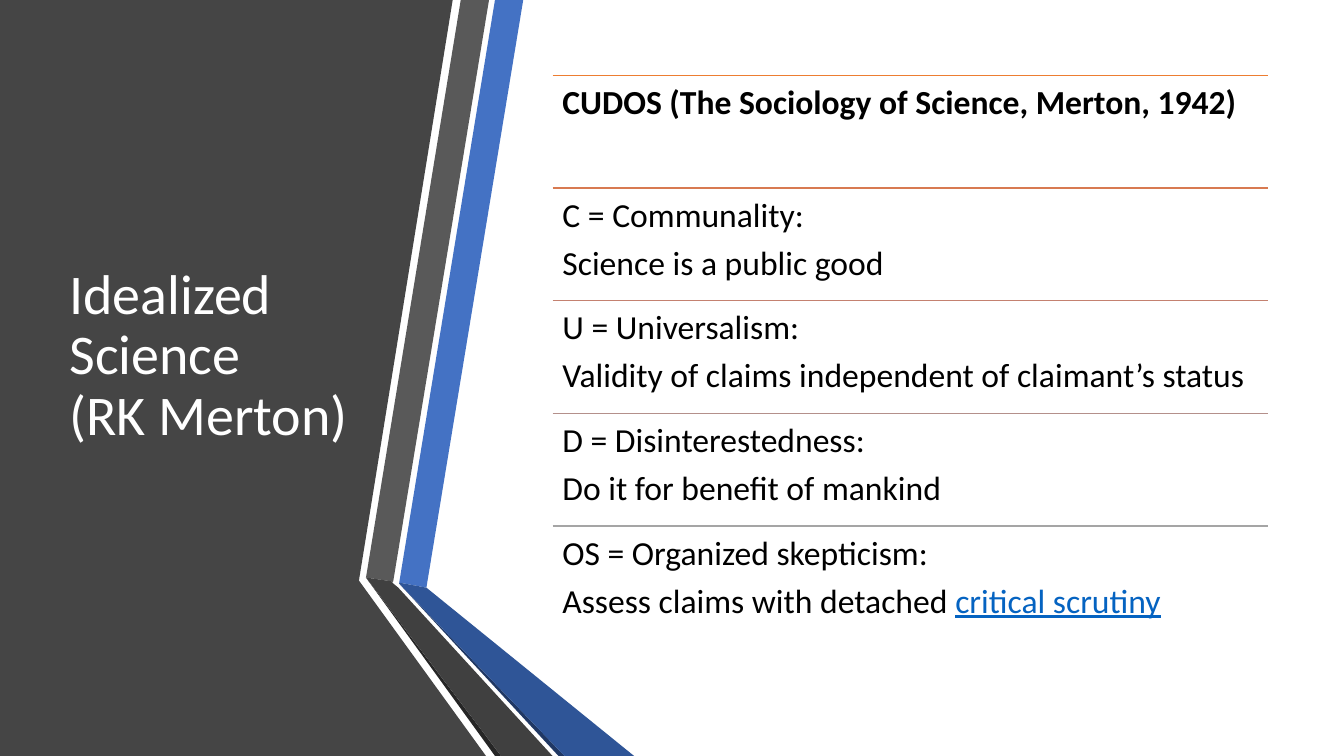
from pptx import Presentation
from pptx.dml.color import RGBColor
from pptx.enum.shapes import MSO_CONNECTOR
from pptx.enum.text import MSO_ANCHOR, MSO_AUTO_SIZE, PP_ALIGN
from pptx.oxml.ns import qn
from pptx.util import Inches, Pt
from lxml.etree import SubElement

COLORS = {
    "white": "FFFFFF", "black": "000000", "link": "0563C1",
    "panel": "454545", "blue": "4472C4", "deep blue": "2F5597",
    "navy": "203864", "gray": "595959", "dark gray": "404040",
    "charcoal": "262626",
}
RULE_COLORS = ["ED7D31", "D87A51", "C48170", "B4908B", "A5A5A5"]

# Outlines of the folded ribbons, from back to front
RIBBONS = [
    ("panel", [(0, 0), (4.49, 0), (3.56, 5.76), (4.82, 7.5), (0, 7.5)]),
    ("blue", [(3.96, 5.78), (4.23, 5.83), (5.19, 0), (4.91, 0)]),
    ("gray", [(4.85, 0), (4.57, 0), (3.63, 5.73), (3.9, 5.77)]),
    ("charcoal", [(3.63, 5.73), (4.91, 7.5), (4.97, 7.5)]),
    ("navy", [(3.96, 5.79), (5.54, 7.5), (5.6, 7.5)]),
    ("deep blue", [(3.96, 5.79), (5.6, 7.5), (6.29, 7.5), (4.23, 5.83),
                   (3.96, 5.78)]),
    ("dark gray", [(5.48, 7.5), (3.95, 5.83), (3.89, 5.78), (3.9, 5.77),
                   (3.63, 5.73), (4.97, 7.5)]),
]

# Each norm is a list of lines
NORMS = [
    ["CUDOS (The Sociology of Science, Merton, 1942)"],
    ["C = Communality:", "Science is a public good"],
    ["U = Universalism:",
     "Validity of claims independent of claimant’s status"],
    ["D = Disinterestedness:", "Do it for benefit of mankind"],
    ["OS = Organized skepticism:", "Assess claims with detached "],
]
LINKED_WORDS = "critical scrutiny"
LIST_LEFT, LIST_TOP, LIST_WIDTH, ROW_HEIGHT = 5.48, 0.75, 7.1, 1.117


def add_span(para, text, size=24, color="black", bold=False, underline=False):
    span = para.add_run()
    span.text = text
    span.font.name = "Calibri"
    span.font.size = Pt(size)
    span.font.bold = bold
    span.font.underline = underline
    span.font.color.rgb = RGBColor.from_string(COLORS[color])


class SlideBuilder:
    def __init__(self, page):
        self.page = page
        self.shapes = page.shapes

    def ribbon(self, color, points):
        corners = [(Inches(x), Inches(y)) for x, y in points]
        builder = self.shapes.build_freeform(*corners[0], scale=1.0)
        builder.add_line_segments(corners[1:], close=True)
        shape = builder.convert_to_shape()
        shape.shadow.inherit = False
        shape.fill.solid()
        shape.fill.fore_color.rgb = RGBColor.from_string(COLORS[color])
        shape.line.fill.background()

    def title(self, lines, left, top, width, height):
        box = self.shapes.title
        box.left, box.top = Inches(left), Inches(top)
        box.width, box.height = Inches(width), Inches(height)
        frame = box.text_frame
        frame.word_wrap = True
        frame.auto_size = MSO_AUTO_SIZE.NONE
        frame.vertical_anchor = MSO_ANCHOR.MIDDLE
        para = frame.paragraphs[0]
        para.alignment = PP_ALIGN.LEFT
        para.line_spacing = 0.9
        for index, line in enumerate(lines):
            if index:
                para.add_line_break()
            add_span(para, line, size=40, color="white")
        # Bring the title in front of the panel
        self.shapes.element.append(box.element)

    def rule(self, left, top, width, color):
        line = self.shapes.add_connector(
            MSO_CONNECTOR.STRAIGHT, Inches(left), Inches(top),
            Inches(left + width), Inches(top))
        line.line.color.rgb = RGBColor.from_string(color)
        line.line.width = Pt(1)
        SubElement(line.element.spPr, qn("a:effectLst"))

    def norm(self, lines, left, top, width, height, bold=False):
        box = self.shapes.add_textbox(
            Inches(left), Inches(top), Inches(width), Inches(height))
        frame = box.text_frame
        frame.word_wrap = True
        frame.margin_left = frame.margin_right = Inches(0.1)
        frame.margin_top = frame.margin_bottom = Inches(0.1)
        for index, line in enumerate(lines):
            para = frame.add_paragraph() if index else frame.paragraphs[0]
            para.line_spacing = 0.9
            para.space_after = Pt(8.4)
            add_span(para, line, bold=bold)
        return para


def main():
    deck = Presentation()
    deck.slide_width, deck.slide_height = Inches(13.33), Inches(7.5)
    page = deck.slides.add_slide(deck.slide_layouts[5])
    slide = SlideBuilder(page)

    # Left panel, ribbons and title
    for color, points in RIBBONS:
        slide.ribbon(color, points)
    slide.title(["Idealized Science", "(RK Merton)"], 0.59, 0.75, 3.04, 5.58)

    # Ruled list of norms
    for row, (lines, color) in enumerate(zip(NORMS, RULE_COLORS)):
        top = LIST_TOP + row * ROW_HEIGHT
        slide.rule(LIST_LEFT, top, LIST_WIDTH, color)
        last_para = slide.norm(lines, LIST_LEFT, top, LIST_WIDTH, ROW_HEIGHT,
                               bold=row == 0)
    add_span(last_para, LINKED_WORDS, color="link", underline=True)

    deck.save("out.pptx")


if __name__ == "__main__":
    main()
